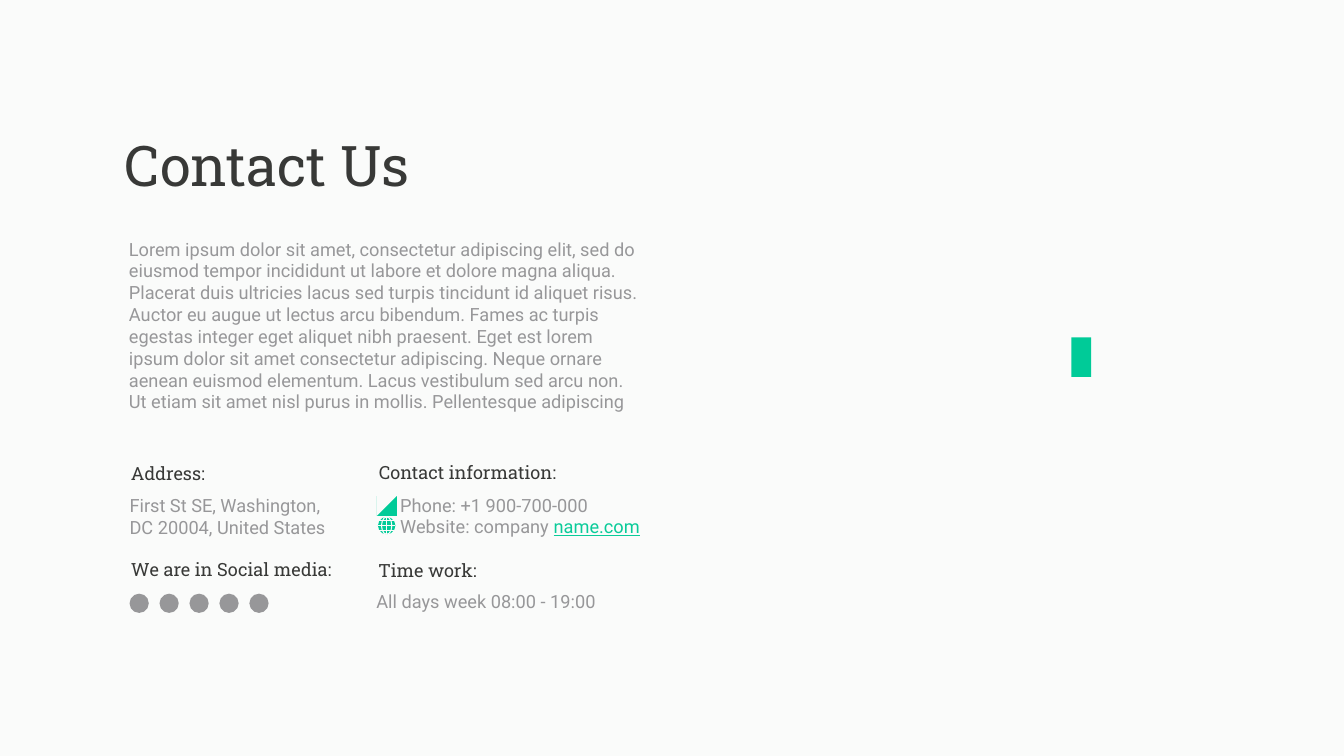
import math
import pptx
import pptx.util
import pptx.dml.color
import pptx.enum.shapes
import pptx.enum.text
import pptx.oxml
from pptx.util import Cm

RGBColor = pptx.dml.color.RGBColor
SHAPES = pptx.enum.shapes.MSO_SHAPE
BACKGROUND = RGBColor(0xFA, 0xFB, 0xFA)
DARK = RGBColor(0x38, 0x39, 0x37)
GRAY = RGBColor(0x97, 0x97, 0x99)
GREEN = RGBColor(0x00, 0xCB, 0x98)
LINK = RGBColor(0x09, 0xCB, 0x99)

HEADING, BODY = ("Roboto Slab", DARK), ("Roboto", GRAY)
LOREM = (
    "Lorem ipsum dolor sit amet, consectetur adipiscing elit, sed do eiusmod tempor "
    "incididunt ut labore et dolore magna aliqua. Placerat duis ultricies lacus sed "
    "turpis tincidunt id aliquet risus. Auctor eu augue ut lectus arcu bibendum. Fames "
    "ac turpis egestas integer eget aliquet nibh praesent. Eget est lorem ipsum dolor "
    "sit amet consectetur adipiscing. Neque ornare aenean euismod elementum. Lacus "
    "vestibulum sed arcu non. Ut etiam sit amet nisl purus in mollis. Pellentesque adipiscing"
)
TEXTS = [
    ((6.15, 6.45, 20.35, 3.71), HEADING, 80, [["Contact Us"]]),
    ((6.35, 11.84, 26.31, 9.17), BODY, 26, [[LOREM]]),
    ((6.45, 23.14, 5.66, 1.4), HEADING, 26, [["Address:"]]),
    ((6.38, 24.77, 10.64, 2.51), BODY, 26, [["First St SE, Washington, DC 20004, United States"]]),
    ((18.95, 23.11, 10.21, 1.4), HEADING, 26, [["Contact information:"]]),
    ((20.02, 24.74, 13.13, 2.51), BODY, 26,
     [["Phone: +1 900-700-000"], ["Website: company ", "name.com"]]),
    ((6.45, 27.99, 10.46, 1.4), HEADING, 26, [["We are in Social media:"]]),
    ((18.92, 28.02, 10.46, 1.4), HEADING, 26, [["Time work:"]]),
    ((18.82, 29.62, 11.89, 1.4), BODY, 26, [["All days week 08:00 - 19:00"]]),
]
LINKED = {"name.com"}

PIN_X, PIN_Y, PIN_R, HOLE_R, PIN_TIP = 54.43, 18.09, 0.71, 0.29, 19.28
PHONE_LEFT, PHONE_TOP = 19.1, 25.07
PHONE = [(15, 76), (12, 76), (5, 71), (2, 68), (0, 51), (2, 48), (20, 41), (23, 41),
         (30, 46), (41, 41), (48, 30), (41, 23), (41, 20), (51, 0), (53, 0), (71, 2),
         (74, 3), (78, 10), (78, 13), (71, 31), (53, 51), (36, 66)]
GLOBE_X, GLOBE_Y, GLOBE_R, MERIDIAN_R, PARALLEL = 19.49, 26.49, 0.44, 0.26, 0.24
SOCIAL_COUNT, SOCIAL_LEFT, SOCIAL_TOP, SOCIAL_SIZE, SOCIAL_STEP = 5, 6.53, 29.92, 0.97, 1.51


def add_text(s, box, style, size, paragraphs):
    font, color = style
    tf = s.shapes.add_textbox(*map(Cm, box)).text_frame
    tf.word_wrap = True
    tf.auto_size = pptx.enum.text.MSO_AUTO_SIZE.SHAPE_TO_FIT_TEXT
    tf.margin_left = tf.margin_right = tf.margin_top = tf.margin_bottom = Cm(0.15)
    for i, runs in enumerate(paragraphs):
        p = tf.paragraphs[0] if i == 0 else tf.add_paragraph()
        for text in runs:
            r = p.add_run()
            r.text = text
            r.font.name, r.font.size = font, pptx.util.Pt(size)
            r.font.color.rgb = LINK if text in LINKED else color
            if text in LINKED:
                r.font.underline = True


def paint(sp, color):
    sp.shadow.inherit = False
    sp.fill.solid()
    sp.fill.fore_color.rgb = color
    sp.line.fill.background()


def add_outline(s, contours, color):
    (start, *rest), *holes = contours
    builder = s.shapes.build_freeform(*start, scale=Cm(1))
    builder.add_line_segments(rest)
    for first, *others in holes:
        builder.move_to(*first)
        builder.add_line_segments(others)
    paint(builder.convert_to_shape(), color)


def add_ellipse(s, x, y, rx, ry):
    return s.shapes.add_shape(SHAPES.OVAL, Cm(x - rx), Cm(y - ry), Cm(2 * rx), Cm(2 * ry))


def arc(x, y, radius, start, end, step=6):
    angles = [math.radians(a) for a in range(start, end, step)]
    return [(x + radius * math.cos(a), y + radius * math.sin(a)) for a in angles]


def add_pin(s):
    body = arc(PIN_X, PIN_Y, PIN_R, 144, 402) + [(PIN_X + 0.06, PIN_TIP - 0.03),
                                                 (PIN_X, PIN_TIP),
                                                 (PIN_X - 0.06, PIN_TIP - 0.03)]
    hole = arc(PIN_X, PIN_Y, HOLE_R, 0, 360)[::-1]
    add_outline(s, [body, hole], GREEN)


def add_globe(s):
    paint(add_ellipse(s, GLOBE_X, GLOBE_Y, GLOBE_R, GLOBE_R), GREEN)
    meridian = add_ellipse(s, GLOBE_X, GLOBE_Y, MERIDIAN_R, GLOBE_R)
    meridian.shadow.inherit = False
    meridian.fill.background()
    grid = [meridian]
    ends = [(0, -GLOBE_R, 0, GLOBE_R)]
    for dy in (-PARALLEL, 0, PARALLEL):
        half = math.sqrt(GLOBE_R ** 2 - dy ** 2)
        ends.append((-half, dy, half, dy))
    for x1, y1, x2, y2 in ends:
        line = s.shapes.add_connector(
            pptx.enum.shapes.MSO_CONNECTOR.STRAIGHT,
            Cm(GLOBE_X + x1), Cm(GLOBE_Y + y1), Cm(GLOBE_X + x2), Cm(GLOBE_Y + y2))
        grid.append(line)
    for sp in grid:
        sp.line.color.rgb = BACKGROUND
        sp.line.width = pptx.util.Pt(1.5)
    for line in grid[1:]:
        line._element.spPr.append(pptx.oxml.parse_xml(
            '<a:effectLst xmlns:a="http://schemas.openxmlformats.org/drawingml/2006/main"/>'))


def main():
    prs = pptx.Presentation()
    prs.slide_width, prs.slide_height = Cm(67.74), Cm(38.1)
    s = prs.slides.add_slide(prs.slide_layouts[6])
    s.background.fill.solid()
    s.background.fill.fore_color.rgb = BACKGROUND
    for item in TEXTS:
        add_text(s, *item)
    add_pin(s)
    add_outline(s, [[(PHONE_LEFT + x / 100, PHONE_TOP + y / 100) for x, y in PHONE]], GREEN)
    add_globe(s)
    radius = SOCIAL_SIZE / 2
    for i in range(SOCIAL_COUNT):
        x = SOCIAL_LEFT + i * SOCIAL_STEP + radius
        paint(add_ellipse(s, x, SOCIAL_TOP + radius, radius, radius), GRAY)
    prs.save("out.pptx")


if __name__ == "__main__":
    main()
